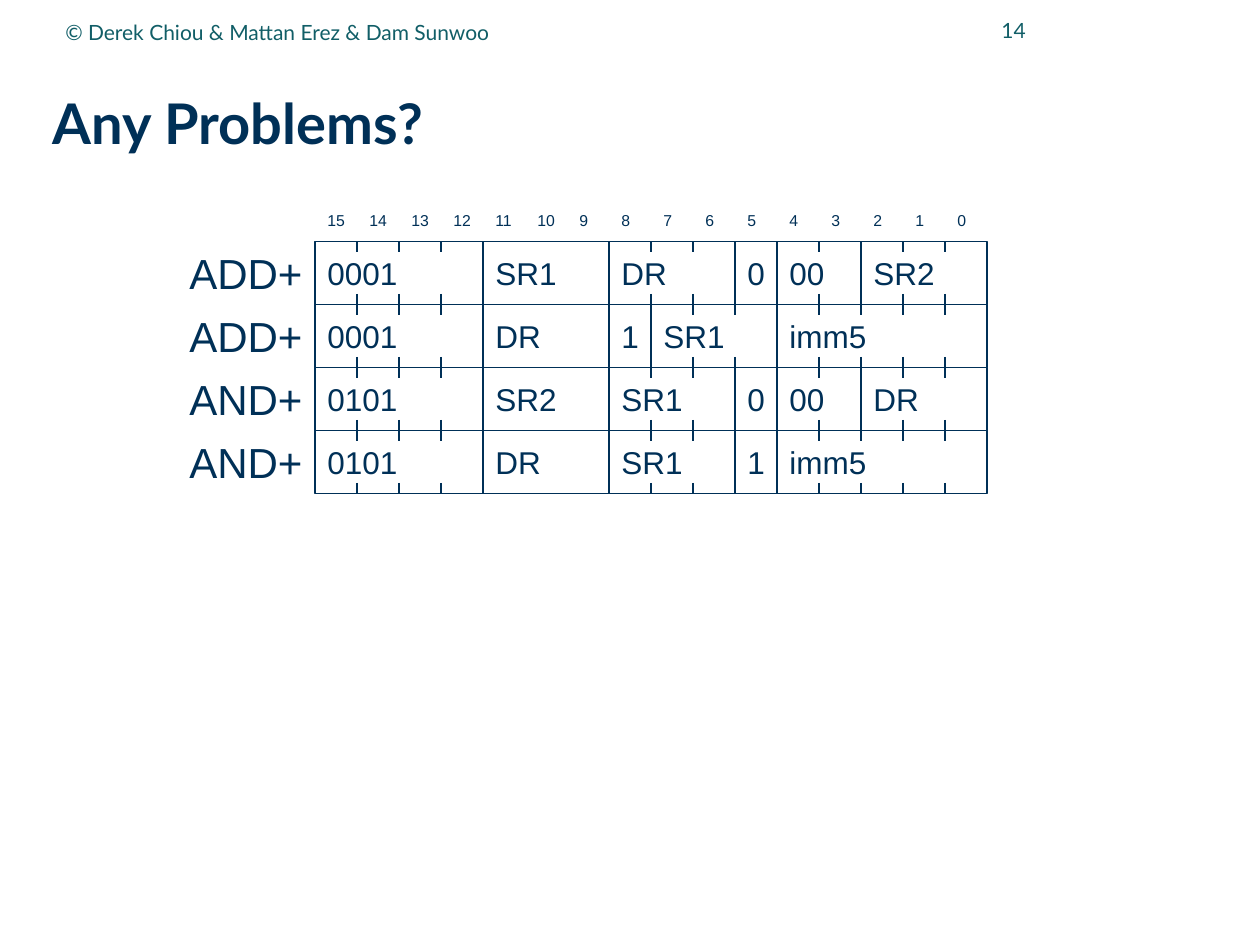
from pptx import Presentation
from pptx.dml.color import RGBColor
from pptx.enum.shapes import MSO_CONNECTOR, MSO_SHAPE
from pptx.enum.text import MSO_ANCHOR, MSO_AUTO_SIZE, PP_ALIGN
from pptx.oxml.ns import qn
from pptx.util import Inches, Pt
from lxml.etree import SubElement

INK = {"navy": "003057", "teal": "115E67"}

deck = Presentation()
deck.slide_width = Inches(10)
deck.slide_height = Inches(7.5)
wide, high = deck.slide_width, deck.slide_height
col, row = wide / 30, high / 15
left, top = 7.5 * col, row * 23 / 6
tick = row / 6

slide = deck.slides.add_slide(deck.slide_layouts[5])


def write(shape, text, size, font="Arial", ink="navy", align=PP_ALIGN.LEFT, wrap=False):
    frame = shape.text_frame
    frame.text = text
    frame.word_wrap = wrap
    frame.auto_size = MSO_AUTO_SIZE.NONE
    frame.vertical_anchor = MSO_ANCHOR.MIDDLE
    para = frame.paragraphs[0]
    para.alignment = align
    face = para.runs[0].font
    face.size = Pt(size)
    face.name = font
    face.color.rgb = RGBColor.from_string(INK[ink])


def label(x, y, w, h, text, size, **style):
    box = slide.shapes.add_textbox(int(x), int(y), int(w), int(h))
    write(box, text, size, **style)


title = slide.shapes.title
title.left, title.top = int(wide * 0.042), int(high * 0.067)
title.width, title.height = int(wide * 0.941), int(high * 0.13)
write(title, "Any Problems?", 32, font="Lato", wrap=True)
frame = title.text_frame
frame.margin_left = frame.margin_right = frame.margin_top = frame.margin_bottom = 0
frame.paragraphs[0].line_spacing = 0.99
frame.paragraphs[0].runs[0].font.bold = True

label(wide * 0.733, high * -0.002, wide * 0.091, high * 0.067, "14", 12,
      font="Lato", ink="teal", align=PP_ALIGN.RIGHT, wrap=True)
label(wide * 0.042, high * 0.004, wide * 0.567, high * 0.061,
      "© Derek Chiou & Mattan Erez & Dam Sunwoo", 12,
      font="Lato", ink="teal", wrap=True)

for bit in range(16):
    label(left + (15 - bit) * col, top - col, col, col, str(bit), 9)

codes = [
    ("ADD+", [("0001", 4), ("SR1", 3), ("DR", 3), ("0", 1), ("00", 2), ("SR2", 3)]),
    ("ADD+", [("0001", 4), ("DR", 3), ("1", 1), ("SR1", 3), ("imm5", 5)]),
    ("AND+", [("0101", 4), ("SR2", 3), ("SR1", 3), ("0", 1), ("00", 2), ("DR", 3)]),
    ("AND+", [("0101", 4), ("DR", 3), ("SR1", 3), ("1", 1), ("imm5", 5)]),
]
plain = 4

for line, (name, fields) in enumerate(codes):
    y = top + line * row
    label(left - 3 * col, y, 3 * col, row, name, 24, align=PP_ALIGN.RIGHT)
    start = 0
    for text, bits in fields:
        x = left + start * col
        ticked = bits > 1 and start != plain
        home = slide.shapes.add_group_shape().shapes if ticked else slide.shapes
        cell = home.add_shape(MSO_SHAPE.RECTANGLE, int(x), int(y), int(bits * col), int(row))
        cell.shadow.inherit = False
        cell.fill.background()
        cell.line.color.rgb = RGBColor.from_string(INK["navy"])
        cell.line.width = Pt(0.75)
        write(cell, text, 18)
        for step in range(1, bits if ticked else 1):
            at = int(x + step * col)
            for edge in (y, y + row - tick):
                mark = home.add_connector(MSO_CONNECTOR.STRAIGHT, at, int(edge), at, int(edge + tick))
                mark.line.color.rgb = RGBColor.from_string(INK["navy"])
                mark.line.width = Pt(0.75)
                SubElement(mark.element.spPr, qn("a:effectLst"))
        start += bits

deck.save("out.pptx")
